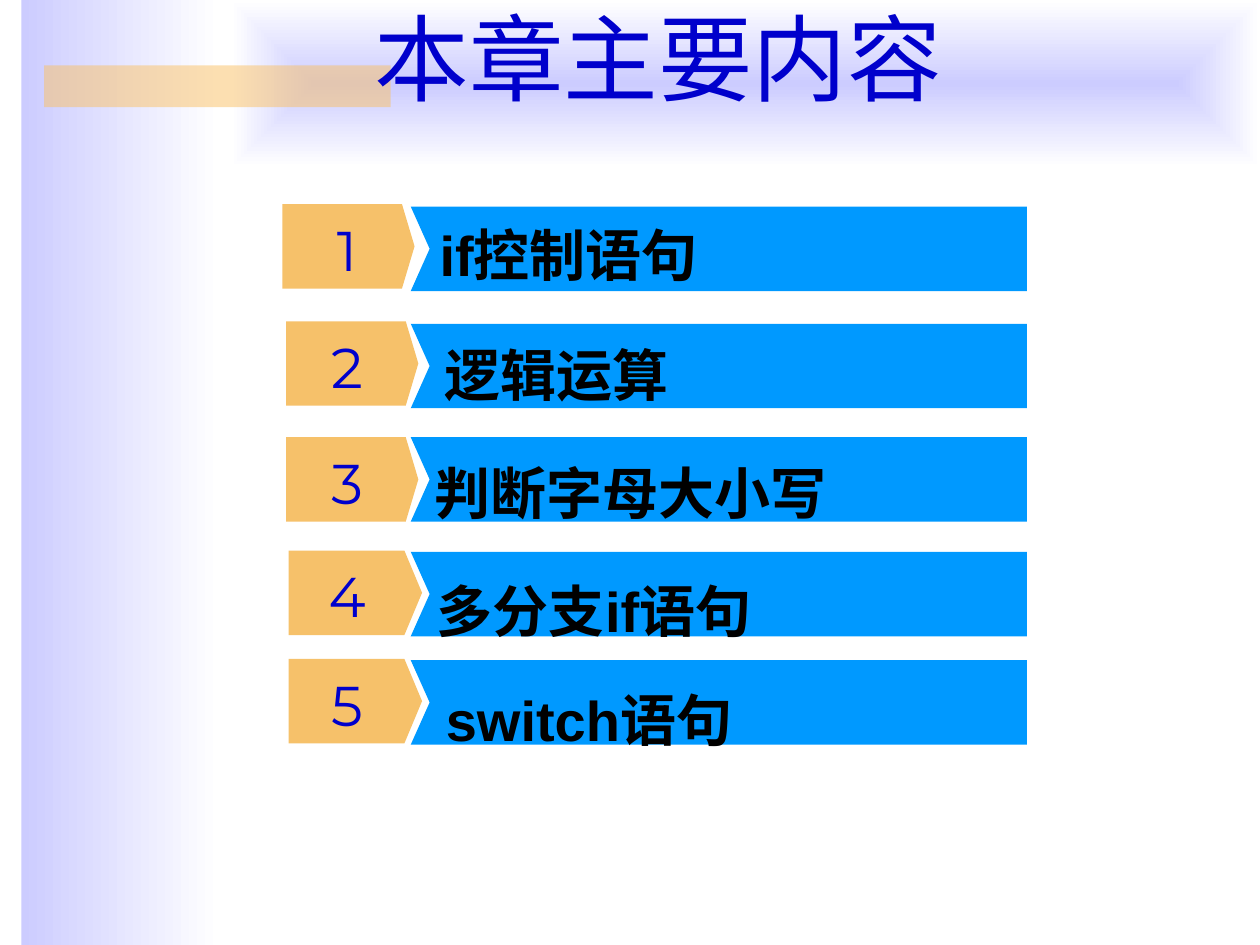
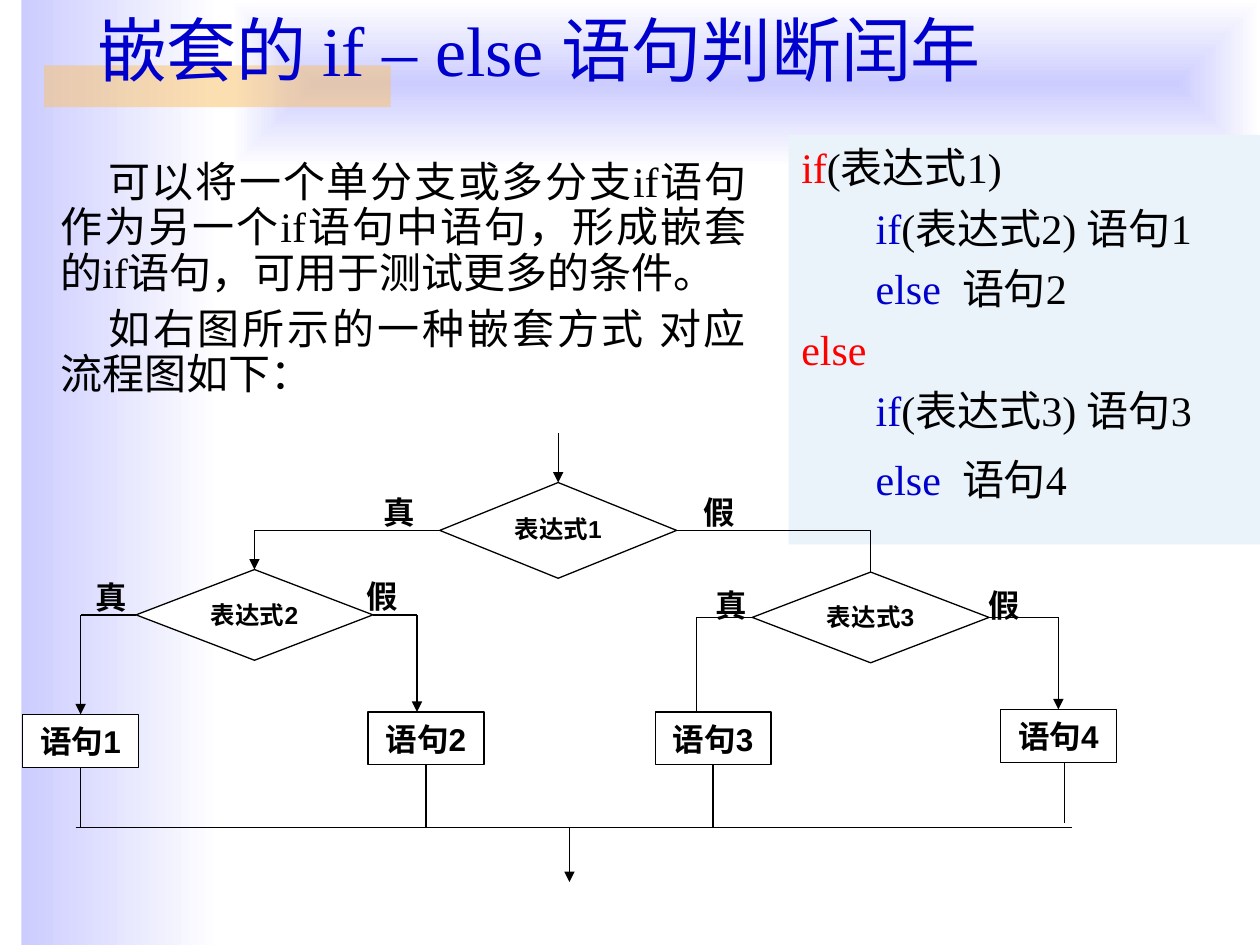
"""Build two slides on C branching statements: a chapter agenda and nested if-else."""
from lxml import etree
from pptx import Presentation
from pptx.dml.color import RGBColor
from pptx.enum.shapes import MSO_CONNECTOR, MSO_SHAPE
from pptx.enum.text import MSO_ANCHOR, MSO_AUTO_SIZE, PP_ALIGN
from pptx.oxml.ns import qn
from pptx.util import Inches, Pt

COLORS = {
    "lavender": "CCCCFF", "white": "FFFFFF", "gold": "FAC164", "tab": "F6C16A",
    "banner": "0099FF", "blue": "0000CC", "black": "000000", "red": "FF0000",
    "panel": "EAF2FA",
}
CJK, SANS, SERIF, DIGIT = "Noto Sans CJK SC", "Arial", "Times New Roman", "Montserrat"
LEFT, CENTER, JUSTIFY = PP_ALIGN.LEFT, PP_ALIGN.CENTER, PP_ALIGN.JUSTIFY
ANCHOR_TOP, ANCHOR_MIDDLE, ANCHOR_BOTTOM = MSO_ANCHOR.TOP, MSO_ANCHOR.MIDDLE, MSO_ANCHOR.BOTTOM
NO_AUTOFIT = MSO_AUTO_SIZE.NONE
RECTANGLE = MSO_SHAPE.RECTANGLE
DECISION, PROCESS = MSO_SHAPE.FLOWCHART_DECISION, MSO_SHAPE.FLOWCHART_PROCESS
STRAIGHT = MSO_CONNECTOR.STRAIGHT
TOP_SIDE, LEFT_SIDE, BOTTOM_SIDE, RIGHT_SIDE = range(4)
LINE_WIDTH = Pt(0.75)
TITLE_LAYOUT, CONTENT_LAYOUT = 5, 1

AGENDA = [
    (1.64, 1.62, 2.24, 0.95, 0.10, "if控制语句", 3.39, 1.70, 1.0),
    (2.57, 2.55, 2.27, 0.95, 0.10, "逻辑运算", 3.43, 2.49, 1.3),
    (3.47, 3.47, 2.27, 0.95, 0.10, "判断字母大小写", 3.35, 3.59, 1.0),
    (4.38, 4.37, 2.29, 0.92, 0.14, "多分支if语句", 3.37, 4.37, 1.3),
    (5.24, 5.23, 2.29, 0.92, 0.14, "switch语句", 3.44, 5.23, 1.3),
]
CODE = [
    (0, 0, [("if", "red"), ("(表达式1)", "black")]),
    (1, 6, [("if", "blue"), ("(表达式2) 语句1", "black")]),
    (1, 6, [("else  ", "blue"), ("语句2", "black")]),
    (0, 6, [("else", "red")]),
    (1, 6, [("if", "blue"), ("(表达式3) 语句3", "black")]),
    (1, 10.5, [("else  ", "blue"), ("语句4", "black")]),
]
EXPLANATION = [
    "可以将一个单分支或多分支if语句作为另一个if语句中语句，形成嵌套的if语句，可用于测试更多的条件。",
    "如右图所示的一种嵌套方式 对应流程图如下：",
]
BRANCH_LABELS = [
    ("真", 3.17, 3.85), ("假", 5.71, 3.85), ("真", 0.88, 4.53),
    ("假", 3.03, 4.52), ("真", 5.80, 4.59), ("假", 7.97, 4.59),
]


def rgb(name):
    """Return the named colour."""
    return RGBColor.from_string(COLORS[name])


def inches(*lengths):
    """Convert several lengths in inches."""
    return [Inches(length) for length in lengths]


def add_span(para, text, size, font, color, bold=False):
    """Add one formatted run with a matching East Asian font."""
    span = para.add_run()
    span.text = text
    span.font.size = Pt(size)
    span.font.name = font
    span.font.bold = bold
    span.font.color.rgb = rgb(color)
    east_asian = etree.SubElement(span._r.get_or_add_rPr(), qn("a:ea"))
    east_asian.set("typeface", CJK)


def set_indent(para, margin, first_line):
    """Set the margins of a paragraph and turn its bullet off."""
    properties = para._p.get_or_add_pPr()
    properties.set("marL", str(Inches(margin)))
    properties.set("indent", str(Inches(first_line)))
    etree.SubElement(properties, qn("a:buNone"))


def paragraphs(frame, count):
    """Yield the first paragraph of a frame, then new ones."""
    yield frame.paragraphs[0]
    for _ in range(count - 1):
        yield frame.add_paragraph()


def move(box, at):
    """Place a box at left, top, width and height."""
    box.left, box.top, box.width, box.height = inches(*at)


def set_title(page, text, at, size, font, align, anchor):
    """Fill and place the title placeholder."""
    title = page.shapes.title
    move(title, at)
    frame = title.text_frame
    frame.auto_size = NO_AUTOFIT
    frame.vertical_anchor = anchor
    para = frame.paragraphs[0]
    para.alignment = align
    add_span(para, text, size, font, "blue")


def add_text(page, at, text, size, font=SANS, color="black", bold=True,
             align=LEFT, spacing=1.0, anchor=ANCHOR_TOP, margins=True):
    """Add a text box with one line of text."""
    box = page.shapes.add_textbox(*inches(*at))
    frame = box.text_frame
    frame.word_wrap = True
    frame.vertical_anchor = anchor
    if not margins:
        frame.margin_left = frame.margin_right = frame.margin_top = frame.margin_bottom = 0
    para = frame.paragraphs[0]
    para.alignment = align
    para.line_spacing = spacing
    add_span(para, text, size, font, color, bold)


def add_outline(page, points, fill=None):
    """Draw a filled outline, or an open black line when there is no fill."""
    corners = [inches(*point) for point in points]
    builder = page.shapes.build_freeform(*corners[0])
    builder.add_line_segments(corners[1:], close=fill is not None)
    outline = builder.convert_to_shape()
    outline.shadow.inherit = False
    if fill:
        outline.fill.solid()
        outline.fill.fore_color.rgb = rgb(fill)
        outline.line.fill.background()
    else:
        outline.fill.background()
        outline.line.color.rgb = rgb("black")
        outline.line.width = LINE_WIDTH


def add_band(page, at):
    """Add a plain decorative rectangle without a line."""
    band = page.shapes.add_shape(RECTANGLE, *inches(*at))
    band.shadow.inherit = False
    band.line.fill.background()
    return band


def fade(band):
    """Fill a band with a gradient from lavender to white."""
    band.fill.gradient()
    band.fill.gradient_angle = 0
    for stop, name in zip(band.fill.gradient_stops, ("lavender", "white")):
        stop.color.rgb = rgb(name)


def decorate_master(deck, page):
    """Give the master the bands that all slides share."""
    side_band = add_band(page, (0.17, 0, 1.58, 7.5))
    fade(side_band)

    title_band = add_band(page, (1.83, 0, 8.17, 1.33))
    fade(title_band)
    linear = title_band.element.spPr.find(".//" + qn("a:lin"))
    rectangular = etree.Element(qn("a:path"), {"path": "rect"})
    center = etree.SubElement(rectangular, qn("a:fillToRect"))
    for edge in "ltrb":
        center.set(edge, "50000")
    linear.getparent().replace(linear, rectangular)

    gold_bar = add_band(page, (0.35, 0.52, 2.75, 0.33))
    gold_bar.fill.solid()
    gold_bar.fill.fore_color.rgb = rgb("gold")
    color = gold_bar.element.spPr.find(".//" + qn("a:srgbClr"))
    etree.SubElement(color, qn("a:alpha")).set("val", "50000")

    tree = deck.slide_master.shapes.element
    for position, band in enumerate((side_band, title_band, gold_bar), start=2):
        tree.insert(position, band.element)


def add_agenda_row(page, number, row):
    """Draw one agenda banner with its numbered tab."""
    top, tab_top, tab_left, shoulder, tip, text, text_left, text_top, spacing = row
    left, right, notch, height = 3.26, 8.15, 0.15, 0.67
    add_outline(page, [(left, top), (left + notch, top + height / 2), (left, top + height),
                       (right, top + height), (right, top)], "banner")
    edge = tab_left + shoulder
    add_outline(page, [(tab_left, tab_top), (edge, tab_top),
                       (edge + tip, tab_top + height / 2), (edge, tab_top + height),
                       (tab_left, tab_top + height)], "tab")
    add_text(page, (2.34, tab_top + 0.22, 0.83, 0.27), str(number), 32, DIGIT, "blue",
             bold=False, align=CENTER, anchor=ANCHOR_MIDDLE, margins=False)
    add_text(page, (text_left, text_top, 4.5, 0.64), text, 32, spacing=spacing)


def add_node(page, kind, at, text, size):
    """Add a white flowchart node."""
    node = page.shapes.add_shape(kind, *inches(*at))
    node.shadow.inherit = False
    node.fill.solid()
    node.fill.fore_color.rgb = rgb("white")
    node.line.color.rgb = rgb("black")
    node.line.width = LINE_WIDTH
    frame = node.text_frame
    frame.word_wrap = False
    frame.vertical_anchor = ANCHOR_TOP
    para = frame.paragraphs[0]
    para.alignment = CENTER
    para.line_spacing = 1.04
    add_span(para, text, size, SANS, "black", bold=True)
    return node


def add_wire(page, start, end, arrow=False):
    """Connect two ends, each an (x, y) point or a (node, side) pair."""
    wire = page.shapes.add_connector(STRAIGHT, 0, 0, 0, 0)
    if isinstance(start[0], (int, float)):
        wire.begin_x, wire.begin_y = inches(*start)
    else:
        wire.begin_connect(*start)
    if isinstance(end[0], (int, float)):
        wire.end_x, wire.end_y = inches(*end)
    else:
        wire.end_connect(*end)
    wire.line.color.rgb = rgb("black")
    wire.line.width = LINE_WIDTH
    if arrow:
        etree.SubElement(wire.line._get_or_add_ln(), qn("a:tailEnd")).set("type", "triangle")
    etree.SubElement(wire.element.spPr, qn("a:effectLst"))


def add_code(page):
    """Fill the body placeholder with the nested if-else pattern."""
    panel = page.placeholders[1]
    move(panel, (6.26, 1.07, 3.74, 3.25))
    panel.fill.solid()
    panel.fill.fore_color.rgb = rgb("panel")
    frame = panel.text_frame
    frame.auto_size = NO_AUTOFIT
    for para, (level, before, spans) in zip(paragraphs(frame, len(CODE)), CODE):
        set_indent(para, *((0.9, -0.31) if level else (0.38, -0.38)))
        para.level = level
        para.alignment = JUSTIFY
        para.space_before = Pt(before)
        for text, color in spans:
            add_span(para, text, 24, SERIF, color)


def add_explanation(page):
    """Add the two paragraphs that introduce nesting."""
    box = page.shapes.add_textbox(*inches(0, 1.23, 6.02, 2.05))
    frame = box.text_frame
    frame.word_wrap = True
    for index, para in enumerate(paragraphs(frame, len(EXPLANATION))):
        set_indent(para, 0.38, 0.38)
        para.alignment = JUSTIFY
        para.line_spacing = 0.9
        para.space_before = Pt(6 if index else 0)
        add_span(para, EXPLANATION[index], 24, SERIF, "black")


def add_flowchart(page):
    """Draw the flowchart of the nested if-else."""
    add_outline(page, [(5.37, 4.21), (6.91, 4.21), (6.91, 4.54)])
    first, second, third = [
        add_node(page, DECISION, (left, top, 1.88, height), f"表达式{number}", 14)
        for number, (left, top, height) in enumerate(
            [(3.49, 3.83, 0.76), (1.08, 4.52, 0.72), (5.97, 4.54, 0.72)], start=1)
    ]
    steps = [
        add_node(page, PROCESS, (left, top, 0.92, 0.42), f"语句{number}", 18)
        for number, (left, top) in enumerate(
            [(0.18, 5.67), (2.92, 5.65), (5.2, 5.65), (7.94, 5.63)], start=1)
    ]
    add_wire(page, (4.43, 3.44), (first, TOP_SIDE), arrow=True)
    add_wire(page, (first, LEFT_SIDE), (2.02, 4.21))
    add_wire(page, (2.02, 4.21), (second, TOP_SIDE), arrow=True)

    for node, side, corner, target, arrow in [
        (second, LEFT_SIDE, (0.64, 4.88), (steps[0], TOP_SIDE), True),
        (second, RIGHT_SIDE, (3.31, 4.88), (3.31, 5.65), True),
        (third, LEFT_SIDE, (5.53, 4.9), (5.53, 5.65), False),
        (third, RIGHT_SIDE, (8.4, 4.9), (steps[3], TOP_SIDE), True),
    ]:
        add_wire(page, (node, side), corner)
        add_wire(page, corner, target, arrow)

    for step, x in zip(steps[:3], (0.64, 3.38, 5.66)):
        add_wire(page, (step, BOTTOM_SIDE), (x, 6.56))
    add_wire(page, (8.45, 6.05), (8.45, 6.53))
    add_wire(page, (0.6, 6.57), (8.51, 6.57))
    add_wire(page, (4.52, 6.57), (4.52, 7), arrow=True)
    for text, center, top in BRANCH_LABELS:
        add_text(page, (center - 0.26, top, 0.52, 0.4), text, 18, align=CENTER, spacing=1.04)


def main():
    """Build and save the deck."""
    deck = Presentation()
    deck.slide_width, deck.slide_height = inches(10, 7.5)

    agenda = deck.slides.add_slide(deck.slide_layouts[TITLE_LAYOUT])
    decorate_master(deck, agenda)
    set_title(agenda, "本章主要内容", (1.23, 0.23, 7.99, 0.72), 54, CJK, CENTER, ANCHOR_BOTTOM)
    for number, row in enumerate(AGENDA, start=1):
        add_agenda_row(agenda, number, row)

    nesting = deck.slides.add_slide(deck.slide_layouts[CONTENT_LAYOUT])
    set_title(nesting, "嵌套的 if – else 语句判断闰年", (0.67, 0.01, 9.08, 0.75), 40, SERIF,
              LEFT, ANCHOR_MIDDLE)
    add_code(nesting)
    add_flowchart(nesting)
    add_explanation(nesting)
    deck.save("out.pptx")


if __name__ == "__main__":
    main()
